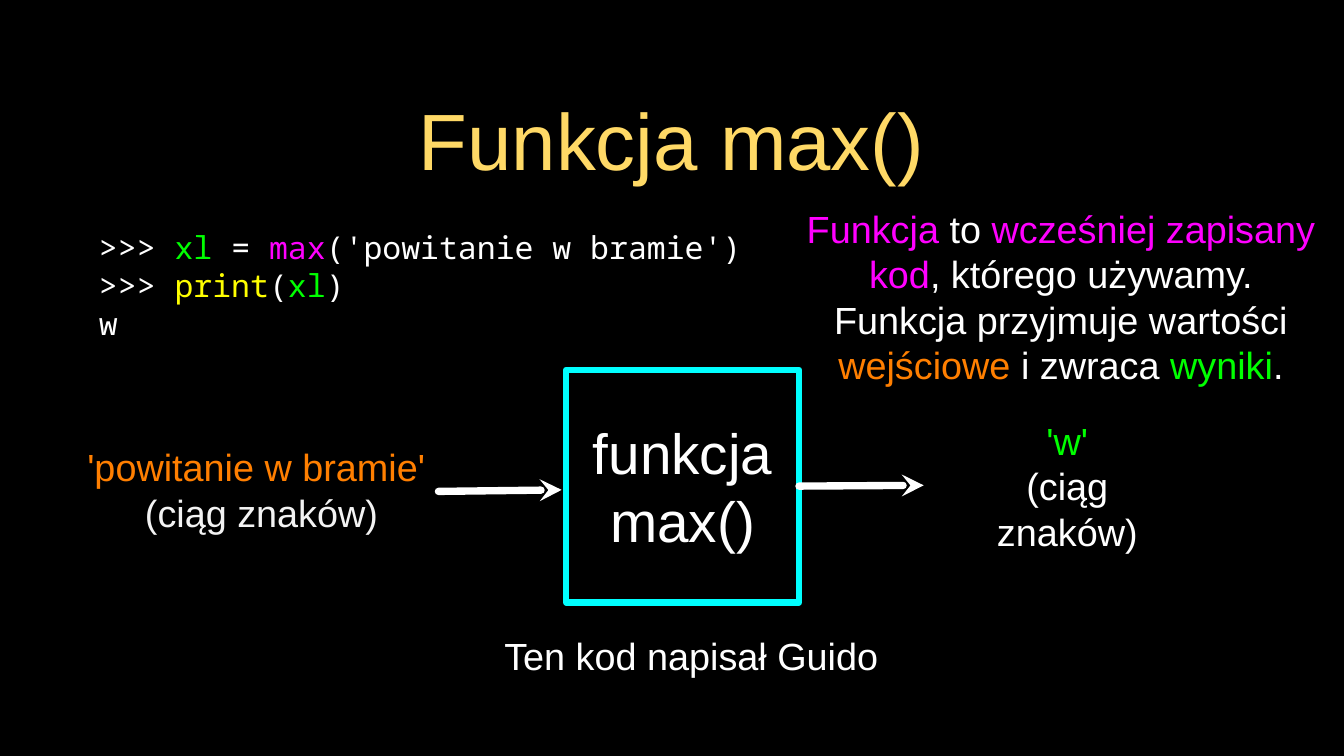
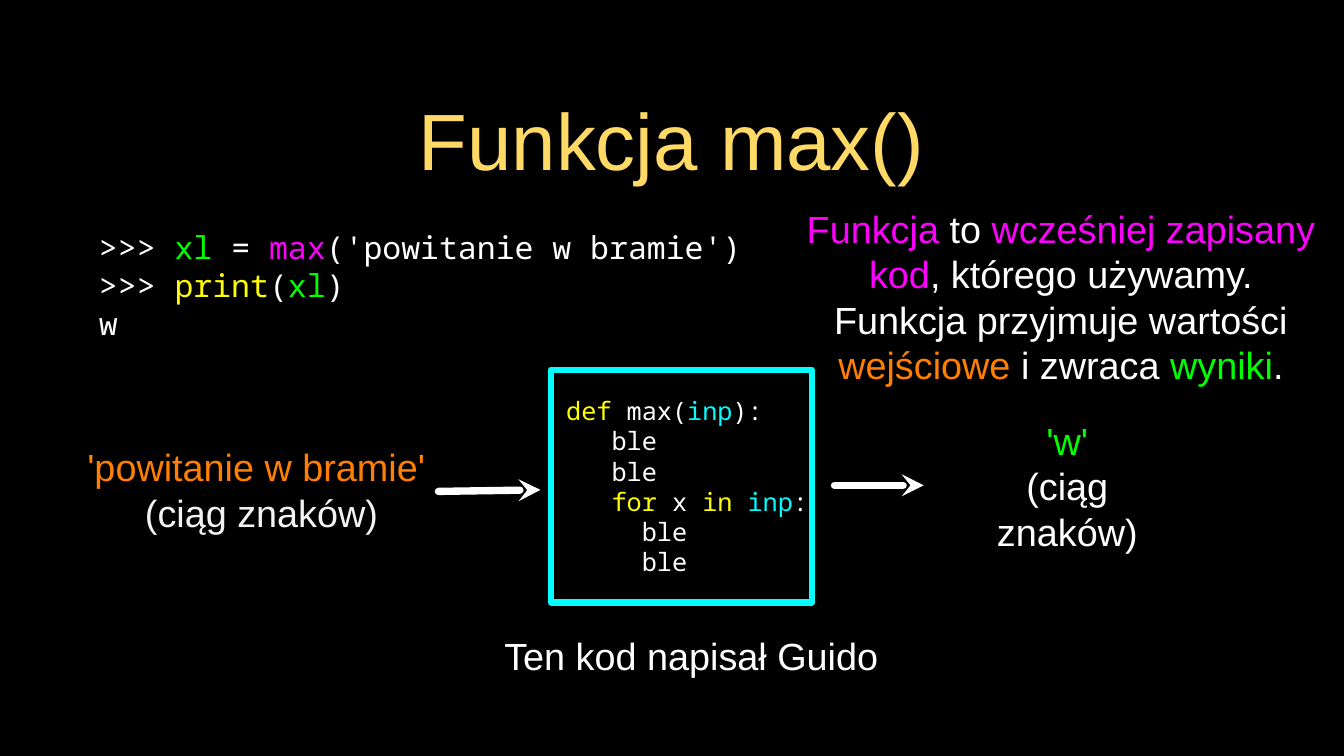
from dataclasses import dataclass
from lxml import etree
from pptx import Presentation
from pptx.dml.color import RGBColor
from pptx.enum.shapes import MSO_CONNECTOR, MSO_SHAPE
from pptx.enum.text import MSO_ANCHOR, MSO_AUTO_SIZE, PP_ALIGN
from pptx.oxml.ns import qn
from pptx.util import Inches, Pt

RECT = MSO_SHAPE.RECTANGLE
STRAIGHT = MSO_CONNECTOR.STRAIGHT
MIDDLE = MSO_ANCHOR.MIDDLE
NO_AUTOFIT = MSO_AUTO_SIZE.NONE
LEFT, CENTER = PP_ALIGN.LEFT, PP_ALIGN.CENTER


@dataclass(frozen=True)
class Theme:
    black: str = "000000"
    white: str = "FFFFFF"
    pale: str = "F3F3F3"
    gold: str = "FFD966"
    green: str = "00FF00"
    magenta: str = "FF00FF"
    yellow: str = "FFFF00"
    orange: str = "FF7F00"
    cyan: str = "00FFFF"
    aqua: str = "00FDFF"
    sans: str = "Arial"
    mono: str = "Noto Sans Mono"
    title: int = 76
    box: int = 54
    body: int = 36
    code: int = 30
    small_code: int = 24
    box_line: int = 6
    arrow_line: int = 7


T = Theme()


def write(shape, paragraphs, size, font=T.sans, align=CENTER, inset=0):
    tf = shape.text_frame
    tf.word_wrap = True
    tf.auto_size = NO_AUTOFIT
    tf.vertical_anchor = MIDDLE
    tf.margin_left = tf.margin_right = tf.margin_top = tf.margin_bottom = Inches(inset)
    for i, runs in enumerate(paragraphs):
        p = tf.add_paragraph() if i else tf.paragraphs[0]
        p.alignment = align
        for text, color in runs:
            r = p.add_run()
            r.text = text
            r.font.name = font
            r.font.size = Pt(size)
            r.font.bold = False
            r.font.color.rgb = RGBColor.from_string(color)


def arrow(s, x1, y1, x2, y2):
    line = s.shapes.add_connector(STRAIGHT, Inches(x1), Inches(y1), Inches(x2), Inches(y2))
    line.line.color.rgb = RGBColor.from_string(T.white)
    line.line.width = Pt(T.arrow_line)
    sp_pr = line._element.spPr
    ln = sp_pr.find(qn("a:ln"))
    ln.set("cap", "rnd")
    etree.SubElement(ln, qn("a:round"))
    etree.SubElement(ln, qn("a:tailEnd"), type="stealth")
    etree.SubElement(sp_pr, qn("a:effectLst"))
    return line


session = [
    [(">>> ", T.white), ("xl", T.green), (" = ", T.white), ("max", T.magenta),
     ("('powitanie w bramie')", T.white)],
    [(">>> ", T.white), ("print", T.yellow), ("(", T.white), ("xl", T.green), (")", T.white)],
    [("w", T.white)],
]
argument = [[("'powitanie w bramie' ", T.orange)], [("(ciąg znaków)", T.pale)]]
result = [[("'w'", T.green)], [("(ciąg znaków)", T.white)]]
definition = [[
    ("Funkcja", T.magenta), (" to ", T.white), ("wcześniej zapisany kod", T.magenta),
    (", którego używamy. Funkcja przyjmuje wartości ", T.white), ("wejściowe", T.orange),
    (" i zwraca ", T.white), ("wyniki", T.green), (".", T.white),
]]
author = [[("Ten kod napisał Guido", T.white)]]

texts = [
    (1.31, 2.86, 8.9, 1.82, session, T.code, T.mono, LEFT),
    (0.94, 5.85, 5.04, 1.25, argument, T.body, T.sans, CENTER),
    (12.58, 5.8, 3.08, 1.25, result, T.body, T.sans, CENTER),
    (10.63, 2.48, 6.81, 2.88, definition, T.body, T.sans, CENTER),
    (6.4, 8.33, 5.49, 0.68, author, T.body, T.sans, CENTER),
]

box_name = [[("funkcja", T.white)], [("max()", T.white)]]
box_code = [
    [(" def", T.yellow), (" max(", T.white), ("inp", T.aqua), ("):", T.white)],
    [("    ble", T.white)],
    [("    ble", T.white)],
    [("    ", T.white), ("for", T.yellow), (" x ", T.white), ("in ", T.yellow),
     ("inp", T.aqua), (":", T.white)],
    [("      ble", T.white)],
    [("      ble", T.white)],
]

slides = [
    (7.49, 3.08, box_name, T.box, T.sans, CENTER, 7.43, 10.57, True),
    (7.29, 3.45, box_code, T.small_code, T.mono, LEFT, 7.15, 11.04, False),
]

prs = Presentation()
prs.slide_width = Inches(17.78)
prs.slide_height = Inches(10)
background = prs.slide_master.background.fill
background.solid()
background.fore_color.rgb = RGBColor.from_string(T.black)

for box_x, box_w, inside, size, font, align, input_end, output_start, joined in slides:
    s = prs.slides.add_slide(prs.slide_layouts[5])
    title = s.shapes.title
    title.left, title.top = Inches(1.26), Inches(0.88)
    title.width, title.height = Inches(15.24), Inches(1.9)
    write(title, [[("Funkcja max()", T.gold)]], T.title, inset=0.04)

    box = s.shapes.add_shape(RECT, Inches(box_x), Inches(4.89), Inches(box_w), Inches(3.08))
    box.shadow.inherit = False
    box.fill.background()
    box.line.color.rgb = RGBColor.from_string(T.cyan)
    box.line.width = Pt(T.box_line)
    etree.SubElement(box._element.spPr.find(qn("a:ln")), qn("a:round"))
    write(box, inside, size, font, align)

    arrow(s, 5.8, 6.5, input_end, 6.48)
    output = arrow(s, output_start, 6.42, 12.22, 6.42)
    if joined:
        output.begin_connect(box, 3)

    for x, y, w, h, paragraphs, text_size, text_font, text_align in texts:
        sp = s.shapes.add_textbox(Inches(x), Inches(y), Inches(w), Inches(h))
        write(sp, paragraphs, text_size, text_font, text_align)

prs.save("out.pptx")
